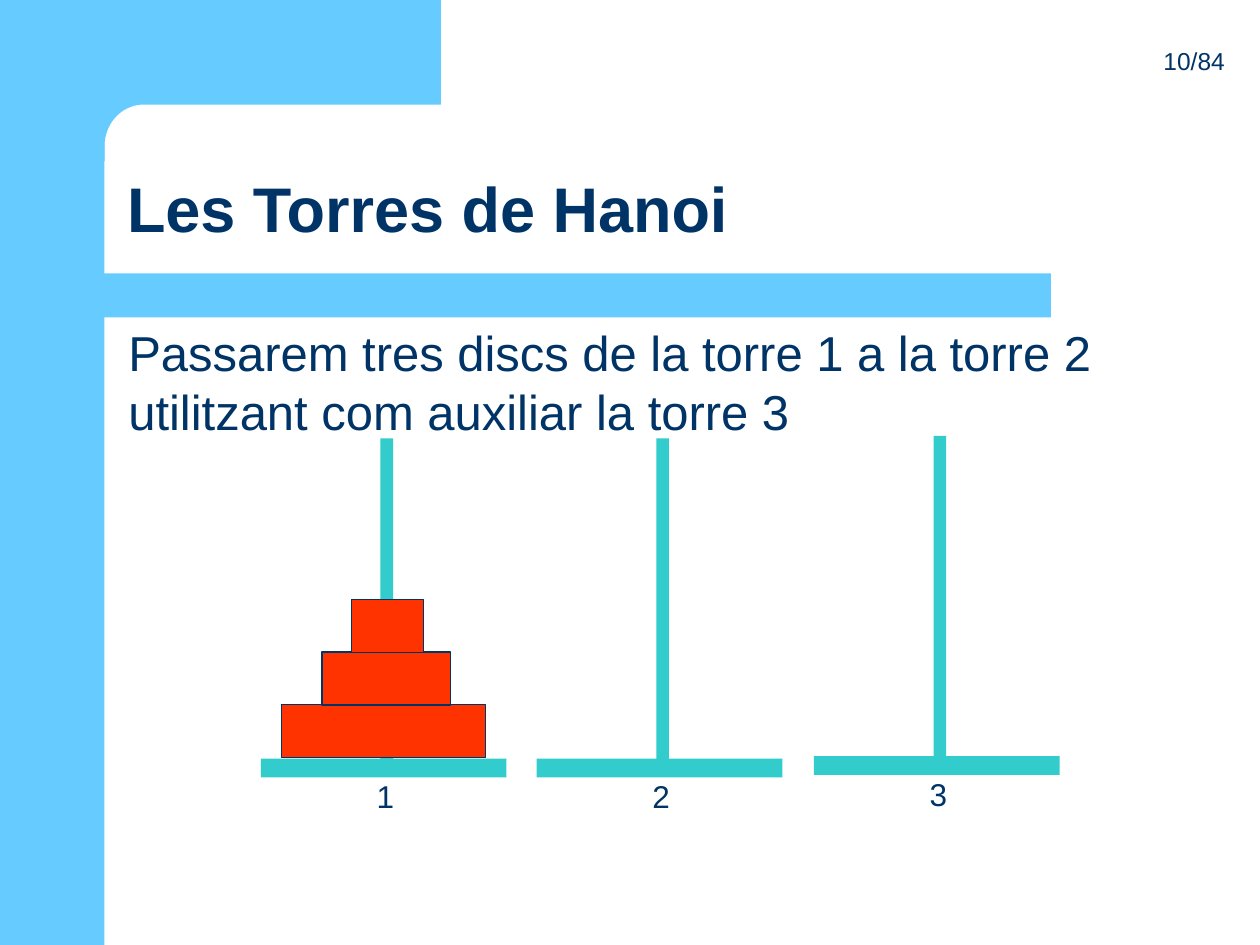
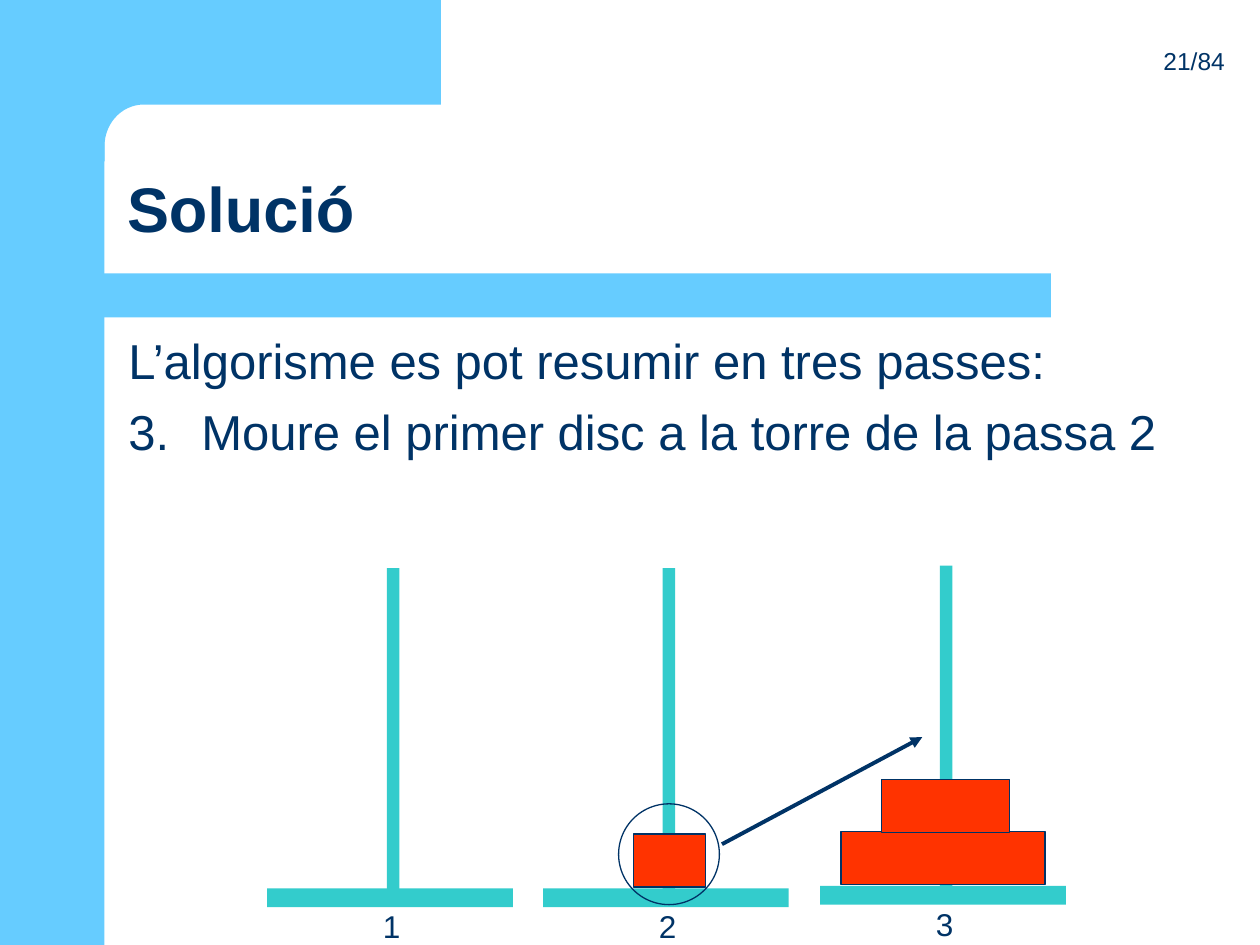
import math
from dataclasses import dataclass
from typing import NamedTuple

from lxml import etree
from pptx import Presentation, util as u
from pptx.dml.color import RGBColor
from pptx.enum import shapes, text
from pptx.oxml import ns


@dataclass(frozen=True)
class Theme:
    font: str = "Arial"
    ink: RGBColor = RGBColor(0x00, 0x33, 0x66)
    band: RGBColor = RGBColor(0x66, 0xCC, 0xFF)
    tower: RGBColor = RGBColor(0x33, 0xCC, 0xCC)
    disc: RGBColor = RGBColor(0xFF, 0x33, 0x00)
    title_size: int = 36
    body_size: int = 28
    label_size: int = 18
    page_size: int = 14
    outline: float = 0.75
    arrow: float = 2.25


class Box(NamedTuple):
    left: float
    top: float
    width: float
    height: float

    def inches(self) -> list:
        return [u.Inches(value) for value in self]


class Disc(NamedTuple):
    width: float
    shift: float


class Base(NamedTuple):
    left: float
    top: float


THEME = Theme()
SMALL, MEDIUM, LARGE = Disc(0.57, 0.03), Disc(1.02, 0.02), Disc(1.62, 0)
DISC_HEIGHT, DISC_STEP = 0.42, 0.415
BASE_WIDTH, BASE_HEIGHT = 1.95, 0.15
ROD_WIDTH, ROD_HEIGHT, ROD_RISE = 0.1, 2.6, 2.54
TOWER_OFFSETS = [(0, 0), (2.19, 0), (4.39, -0.02)]


def add_shape(slide, box: Box, fill=None, line=None, kind=shapes.MSO_SHAPE.RECTANGLE):
    shape = slide.shapes.add_shape(kind, *box.inches())
    style_shape(shape, fill, line)
    return shape


def style_shape(shape, fill=None, line=None) -> None:
    shape.shadow.inherit = False
    if fill is None:
        shape.fill.background()
    else:
        shape.fill.solid()
        shape.fill.fore_color.rgb = fill
    if line is None:
        shape.line.fill.background()
    else:
        shape.line.color.rgb = line
        shape.line.width = u.Pt(THEME.outline)


def add_text(slide, box: Box, lines: list[str], size: int, bold: bool = False,
             anchor=text.MSO_ANCHOR.TOP, align=text.PP_ALIGN.LEFT):
    frame = slide.shapes.add_textbox(*box.inches()).text_frame
    frame.word_wrap = True
    frame.vertical_anchor = anchor
    frame.text = "\n".join(lines)
    for paragraph in frame.paragraphs:
        paragraph.alignment = align
        for run in paragraph.runs:
            run.font.name = THEME.font
            run.font.size = u.Pt(size)
            run.font.bold = bold
            run.font.color.rgb = THEME.ink
    return frame


def add_corner(slide) -> None:
    angles = [math.radians(degrees) for degrees in range(90, 181, 6)]
    arc = [(1.14 + 0.31 * math.cos(angle), 1.16 - 0.33 * math.sin(angle)) for angle in angles]
    points = [(3.5, 0), (3.5, 0.83), *arc, (0.83, 1.28), (0.5, 1.28), (0.5, 0)]
    start, *rest = [(u.Inches(x), u.Inches(y)) for x, y in points]
    builder = slide.shapes.build_freeform(*start)
    builder.add_line_segments(rest, close=True)
    style_shape(builder.convert_to_shape(), THEME.band)


def add_frame(presentation, title: str, page: str):
    slide = presentation.slides.add_slide(presentation.slide_layouts[6])
    add_shape(slide, Box(0, 0, 0.83, 7.5), THEME.band)
    add_corner(slide)
    add_shape(slide, Box(0.67, 2.17, 7.67, 0.35), THEME.band)
    add_text(slide, Box(6.65, 0.13, 3.17, 0.52), [page], THEME.page_size,
             anchor=text.MSO_ANCHOR.BOTTOM, align=text.PP_ALIGN.RIGHT)
    heading = add_text(slide, Box(0.91, 0.91, 8.51, 1.09), [title], THEME.title_size,
                       bold=True, anchor=text.MSO_ANCHOR.BOTTOM)
    heading.paragraphs[0].line_spacing = 0.9
    return slide


def number_paragraph(paragraph, start: int) -> None:
    properties = paragraph._p.get_or_add_pPr()
    properties.set("marL", str(u.Inches(0.58)))
    properties.set("indent", str(-u.Inches(0.58)))
    etree.SubElement(properties, ns.qn("a:buFont"), typeface=THEME.font)
    etree.SubElement(properties, ns.qn("a:buAutoNum"), type="arabicPeriod", startAt=str(start))


def add_towers(slide, origin: Base, stacks: list[list[Disc]]) -> None:
    bases = [Base(origin.left + dx, origin.top + dy) for dx, dy in TOWER_OFFSETS]
    for number, base in enumerate(bases, 1):
        add_shape(slide, Box(base.left + 0.95, base.top - ROD_RISE, ROD_WIDTH, ROD_HEIGHT),
                  THEME.tower)
        add_shape(slide, Box(*base, BASE_WIDTH, BASE_HEIGHT), THEME.tower)
        label = add_text(slide, Box(base.left + 0.82, base.top + 0.1, 0.52, 0.4),
                         [str(number)], THEME.label_size)
        label.auto_size = text.MSO_AUTO_SIZE.SHAPE_TO_FIT_TEXT
    for base, stack in zip(bases, stacks):
        center = base.left + BASE_WIDTH / 2
        for level, disc in enumerate(stack):
            top = base.top - 0.01 - DISC_HEIGHT - level * DISC_STEP
            left = center + disc.shift - disc.width / 2
            add_shape(slide, Box(left, top, disc.width, DISC_HEIGHT), THEME.disc, THEME.ink)


def add_arrow(slide, start: tuple[float, float], end: tuple[float, float]) -> None:
    arrow = slide.shapes.add_connector(
        shapes.MSO_CONNECTOR.STRAIGHT, *[u.Inches(value) for value in (*start, *end)])
    arrow.line.color.rgb = THEME.ink
    arrow.line.width = u.Pt(THEME.arrow)
    etree.SubElement(arrow.line._get_or_add_ln(), ns.qn("a:tailEnd"), type="triangle")
    etree.SubElement(arrow._element.spPr, ns.qn("a:effectLst"))


def build_problem(presentation) -> None:
    slide = add_frame(presentation, "Les Torres de Hanoi", "10/84")
    add_towers(slide, Base(2.07, 6.02), [[LARGE, MEDIUM, SMALL], [], []])
    add_text(slide, Box(0.92, 2.51, 8.41, 4.07),
             ["Passarem tres discs de la torre 1 a la torre 2 utilitzant com auxiliar la torre 3"],
             THEME.body_size)


def build_solution(presentation) -> None:
    slide = add_frame(presentation, "Solució", "21/84")
    body = add_text(slide, Box(0.92, 2.57, 8.41, 2.22),
                    ["L’algorisme es pot resumir en tres passes:",
                     "Moure el primer disc a la torre de la passa 2"], THEME.body_size)
    step = body.paragraphs[1]
    number_paragraph(step, 3)
    step.space_before = u.Pt(7)
    add_towers(slide, Base(2.12, 7.05), [[], [SMALL], [LARGE, MEDIUM]])
    add_shape(slide, Box(4.91, 6.38, 0.8, 0.8), line=THEME.ink, kind=shapes.MSO_SHAPE.OVAL)
    add_arrow(slide, (5.73, 6.7), (7.32, 5.85))


def main() -> None:
    presentation = Presentation()
    presentation.slide_width = u.Inches(10)
    presentation.slide_height = u.Inches(7.5)
    build_problem(presentation)
    build_solution(presentation)
    presentation.save("out.pptx")


if __name__ == "__main__":
    main()
